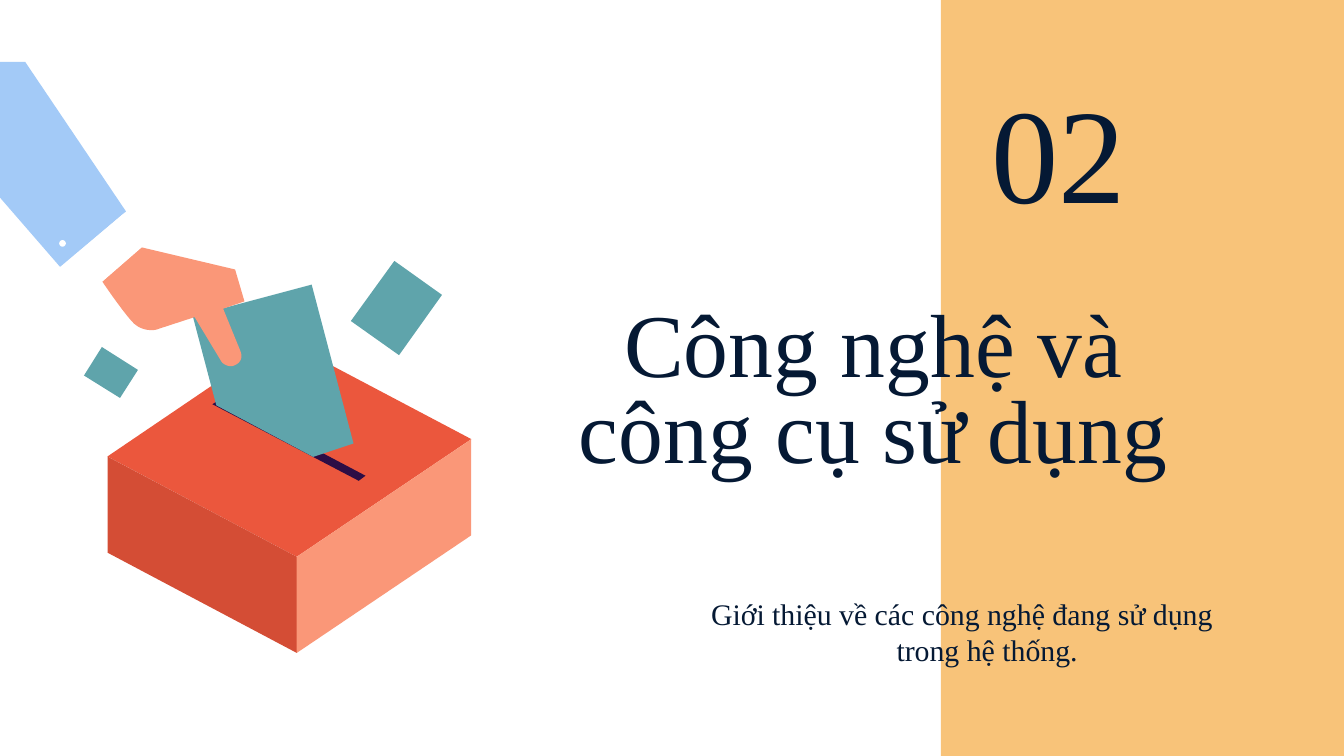
from pptx import Presentation
from pptx import util as u
from pptx.dml.color import RGBColor
from pptx.enum import shapes, text

Pt = u.Pt
FONT = "Times New Roman"
NAVY, ORANGE, WHITE = "051934", "F8C379", "FFFFFF"
RED, DARK_RED, SKIN = "EB573D", "D44D35", "FA9778"
PURPLE, TEAL, BLUE = "2D0D45", "5FA4AB", "A3CAF7"


def paint(shape, color):
    shape.fill.solid()
    shape.fill.fore_color.rgb = RGBColor.from_string(color)
    shape.line.fill.background()
    shape.shadow.inherit = False


def add_preset(slide, kind, box, color):
    paint(slide.shapes.add_shape(kind, *map(Pt, box)), color)


def add_polygon(slide, origin, points, color):
    """Draw a closed outline whose points are relative to origin."""
    corners = [(Pt(origin[0] + x), Pt(origin[1] + y)) for x, y in points]
    builder = slide.shapes.build_freeform(*corners[0])
    builder.add_line_segments(corners[1:], close=True)
    paint(builder.convert_to_shape(), color)


def flatten(steps, pieces=8):
    """Turn corners (x, y) and cubic curves (x1, y1, x2, y2, x, y) into points."""
    points = []
    for step in steps:
        if len(step) == 2:
            points.append(step)
            continue
        controls = [points[-1], step[:2], step[2:4], step[4:]]
        for i in range(1, pieces + 1):
            t = i / pieces
            weights = ((1 - t) ** 3, 3 * t * (1 - t) ** 2, 3 * t * t * (1 - t), t ** 3)
            points.append(tuple(sum(w * c[axis] for w, c in zip(weights, controls))
                                for axis in (0, 1)))
    return points


def add_text(slide, box, words, size, align, anchor, spacing=1.0, margin=0, indent=0):
    label = slide.shapes.add_textbox(*map(Pt, box))
    frame = label.text_frame
    frame.word_wrap = True
    frame.vertical_anchor = anchor
    frame.margin_left = frame.margin_right = Pt(7.2)
    frame.margin_top = frame.margin_bottom = Pt(7.2)
    paragraph = frame.paragraphs[0]
    paragraph.alignment = align
    paragraph.line_spacing = spacing
    if margin:
        properties = paragraph._p.get_or_add_pPr()
        properties.set("marL", str(Pt(margin)))
        properties.set("indent", str(Pt(indent)))
    run = paragraph.add_run()
    run.text = words
    run.font.name = FONT
    run.font.size = Pt(size)
    run.font.color.rgb = RGBColor.from_string(color := NAVY)


def draw_ballot_box(slide, origin):
    left, front, right, back = (57.6, 211.6), (159, 265.3), (252.5, 202.3), (150.6, 148.5)
    depth = 51.5
    slot = [(118, 180.8), (195.8, 221.9), (192.2, 224.6), (113.8, 183.6)]

    def side(a, b):
        return [a, b, (b[0], b[1] + depth), (a[0], a[1] + depth)]

    for points, color in (([left, front, right, back], RED), (slot, PURPLE),
                          (side(left, front), DARK_RED), (side(front, right), SKIN)):
        add_polygon(slide, origin, points, color)


def draw_ballots(slide, origin):
    voted = [(167, 119.5), (189.4, 204.6), (167.8, 211.8), (115.9, 184.2), (103.3, 136.5)]
    large = [(211.3, 106.8), (236.8, 125), (213.8, 157.3), (188, 139)]
    small = [(54.6, 152.9), (73.9, 165.2), (64.3, 180.2), (45, 168.2)]
    for ballot in (voted, large, small):
        add_polygon(slide, origin, ballot, TEAL)


def draw_arm(slide, origin):
    hand = [(75.8, 99.5), (126, 111.4), (131, 128.5), (119.6, 132.4), (128.8, 155),
            (130.3, 158.5, 128.9, 161.4, 126, 162.6),
            (125.3, 162.9, 124.6, 163.2, 123.8, 163.2),
            (121.7, 163.2, 119.5, 162.1, 118.6, 160.6),
            (104.3, 136.9), (85, 143.2),
            (85, 143.2, 83.5, 143.9, 81.4, 143.9),
            (78.5, 143.9, 74.2, 143.2, 70.6, 139.1),
            (64.8, 132.6, 54.8, 117.8, 54.8, 117.8)]
    sleeve = [(13.5, 0.2), (67.5, 80.3), (32.2, 110), (-28.8, 39.7), (-28.8, 0.2)]
    cuff = [(66.2, 81.5), (78.5, 97.3), (51.1, 121.1), (37.4, 106)]
    for points, color in ((flatten(hand), SKIN), (sleeve, BLUE), (cuff, WHITE)):
        add_polygon(slide, origin, points, color)
    button = (origin[0] + 31.7, origin[1] + 95.6, 3.6, 3.6)
    add_preset(slide, shapes.MSO_SHAPE.OVAL, button, WHITE)


def draw_illustration(slide, origin):
    draw_ballot_box(slide, origin)
    draw_ballots(slide, origin)
    draw_arm(slide, origin)


def draw_heading(slide, box):
    """Place title, section number and summary from the box's top left."""
    left, top = box[:2]
    align, anchor = text.PP_ALIGN, text.MSO_ANCHOR
    add_text(slide, (left, top + 110, 333.5, 66.5), "Công nghệ và công cụ sử dụng",
             48, align.CENTER, anchor.MIDDLE, spacing=0.8)
    add_text(slide, (left + 111, top, 198, 62), "02", 72, align.RIGHT, anchor.BOTTOM)
    add_text(slide, (left + 59, top + 243.3, 301.7, 42.5),
             "Giới thiệu về các công nghệ đang sử dụng trong hệ thống.",
             16, align.CENTER, anchor.TOP, margin=36, indent=-27)


def main():
    deck = Presentation()
    deck.slide_width, deck.slide_height = Pt(720), Pt(405)
    slide = deck.slides.add_slide(deck.slide_layouts[6])
    add_preset(slide, shapes.MSO_SHAPE.RECTANGLE, (504, -0.8, 218, 406.6), ORANGE)
    draw_heading(slide, (301, 68.5, 361, 286))
    draw_illustration(slide, (0, 33))
    deck.save("out.pptx")


if __name__ == "__main__":
    main()
